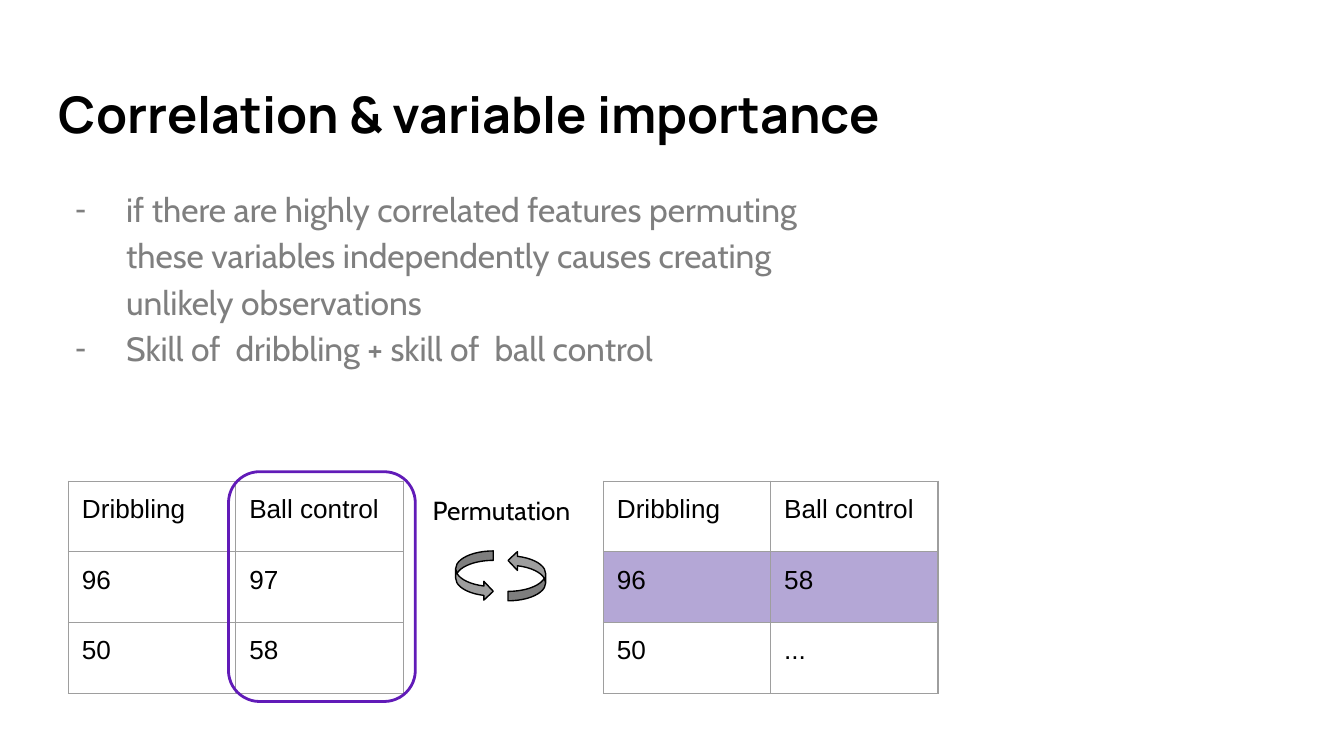
from dataclasses import dataclass

from lxml.etree import SubElement
from pptx import Presentation
from pptx.dml.color import RGBColor
from pptx.enum.shapes import MSO_SHAPE
from pptx.enum.text import MSO_ANCHOR
from pptx.oxml.ns import qn
from pptx.util import Inches, Pt


@dataclass(frozen=True)
class Theme:
    ink: str = "000000"
    muted: str = "7F7F7F"
    grid: str = "9E9E9E"
    highlight: str = "B4A7D6"
    accent: str = "611BB8"
    heading_font: str = "Manrope"
    body_font: str = "Cabin"
    table_font: str = "Arial"
    title_size: float = 27
    body_size: float = 18
    label_size: float = 14
    thin: float = 0.75
    thick: float = 1.5
    margin: float = 0.1


THEME = Theme()
MARGINS = {f"margin_{side}": Inches(THEME.margin)
           for side in ("left", "top", "right", "bottom")}


def color(value):
    return RGBColor.from_string(value)


def set_values(target, values):
    for name, value in values.items():
        setattr(target, name, value)


def set_fill(target, fill):
    if fill:
        target.fill.solid()
        target.fill.fore_color.rgb = color(fill)
    else:
        target.fill.background()


def write(paragraph, text, font, size, ink=THEME.ink, bold=False):
    run = paragraph.add_run()
    run.text = text
    set_values(run.font, {"name": font, "size": Pt(size), "bold": bold})
    run.font.color.rgb = color(ink)


def add_text_frame(slide, box, anchor=MSO_ANCHOR.TOP):
    frame = slide.shapes.add_textbox(*map(Inches, box)).text_frame
    set_values(frame, {"word_wrap": True, "vertical_anchor": anchor, **MARGINS})
    return frame


def add_title(slide, box, text):
    frame = add_text_frame(slide, box, MSO_ANCHOR.BOTTOM)
    write(frame.paragraphs[0], text, THEME.heading_font, THEME.title_size, bold=True)


def add_bullets(slide, box, items):
    frame = add_text_frame(slide, box)
    for index, item in enumerate(items):
        paragraph = frame.add_paragraph() if index else frame.paragraphs[0]
        paragraph.line_spacing = 1.15
        properties = paragraph._p.get_or_add_pPr()
        properties.set("marL", str(Inches(0.5)))
        properties.set("indent", str(Inches(-0.38)))
        bullet_color = SubElement(properties, qn("a:buClr"))
        SubElement(bullet_color, qn("a:srgbClr"), val=THEME.muted)
        SubElement(properties, qn("a:buFont"), typeface=THEME.table_font)
        SubElement(properties, qn("a:buChar"), char="-")
        write(paragraph, item, THEME.body_font, THEME.body_size, THEME.muted)


def format_cell(cell, text, fill):
    set_values(cell, MARGINS)
    write(cell.text_frame.paragraphs[0], text, THEME.table_font, THEME.label_size)
    properties = cell._tc.get_or_add_tcPr()
    for edge in ("a:lnL", "a:lnR", "a:lnT", "a:lnB"):
        line = SubElement(properties, qn(edge), w=str(Pt(THEME.thin)))
        SubElement(SubElement(line, qn("a:solidFill")), qn("a:srgbClr"), val=THEME.grid)
    set_fill(cell, fill)


def add_data_table(slide, box, rows, highlighted_row=None):
    left, top, width, height = map(Inches, box)
    table = slide.shapes.add_table(len(rows), len(rows[0]), left, top, width, height).table
    set_values(table, {"first_row": False, "horz_banding": False})
    for column in table.columns:
        column.width = width // len(rows[0])
    for row_index, values in enumerate(rows):
        table.rows[row_index].height = height // len(rows)
        fill = THEME.highlight if row_index == highlighted_row else None
        for column_index, value in enumerate(values):
            format_cell(table.cell(row_index, column_index), value, fill)


def add_outlined_shape(slide, kind, box, line, weight, fill=None):
    shape = slide.shapes.add_shape(kind, *map(Inches, box))
    shape.shadow.inherit = False
    shape.line.color.rgb = color(line)
    shape.line.width = Pt(weight)
    set_fill(shape, fill)
    return shape


def add_permutation(slide, box, text):
    left, top, width, height = box
    frame = add_text_frame(slide, (left, top, width, 0.44))
    write(frame.paragraphs[0], text, THEME.body_font, THEME.label_size)
    for index in range(2):
        arrow_box = (left + 0.27 + 0.39 * index, top + height - 0.37, 0.28, 0.37)
        arrow = add_outlined_shape(slide, MSO_SHAPE.CURVED_RIGHT_ARROW, arrow_box,
                                   THEME.ink, THEME.thin, THEME.grid)
        arrow.rotation = 180 * index


def build_slide(presentation):
    slide = presentation.slides.add_slide(presentation.slide_layouts[6])
    add_title(slide, (0.34, 0.49, 9.32, 0.68), "Correlation & variable importance")
    add_bullets(slide, (0.34, 1.26, 6.06, 3.74), [
        "if there are highly correlated features permuting these variables "
        "independently causes creating unlikely observations",
        "Skill of  dribbling + skill of  ball control",
    ])
    header = ("Dribbling", "Ball control")
    add_data_table(slide, (0.51, 3.58, 2.49, 1.58),
                   [header, ("96", "97"), ("50", "58")])
    add_data_table(slide, (4.49, 3.58, 2.49, 1.58),
                   [header, ("96", "58"), ("50", "...")], highlighted_row=1)
    add_outlined_shape(slide, MSO_SHAPE.ROUNDED_RECTANGLE, (1.7, 3.51, 1.39, 1.71),
                       THEME.accent, THEME.thick)
    add_permutation(slide, (3.12, 3.58, 1.39, 0.89), "Permutation")


def main():
    presentation = Presentation()
    presentation.slide_width = Inches(10)
    presentation.slide_height = Inches(10) * 9 // 16
    build_slide(presentation)
    presentation.save("out.pptx")


if __name__ == "__main__":
    main()
